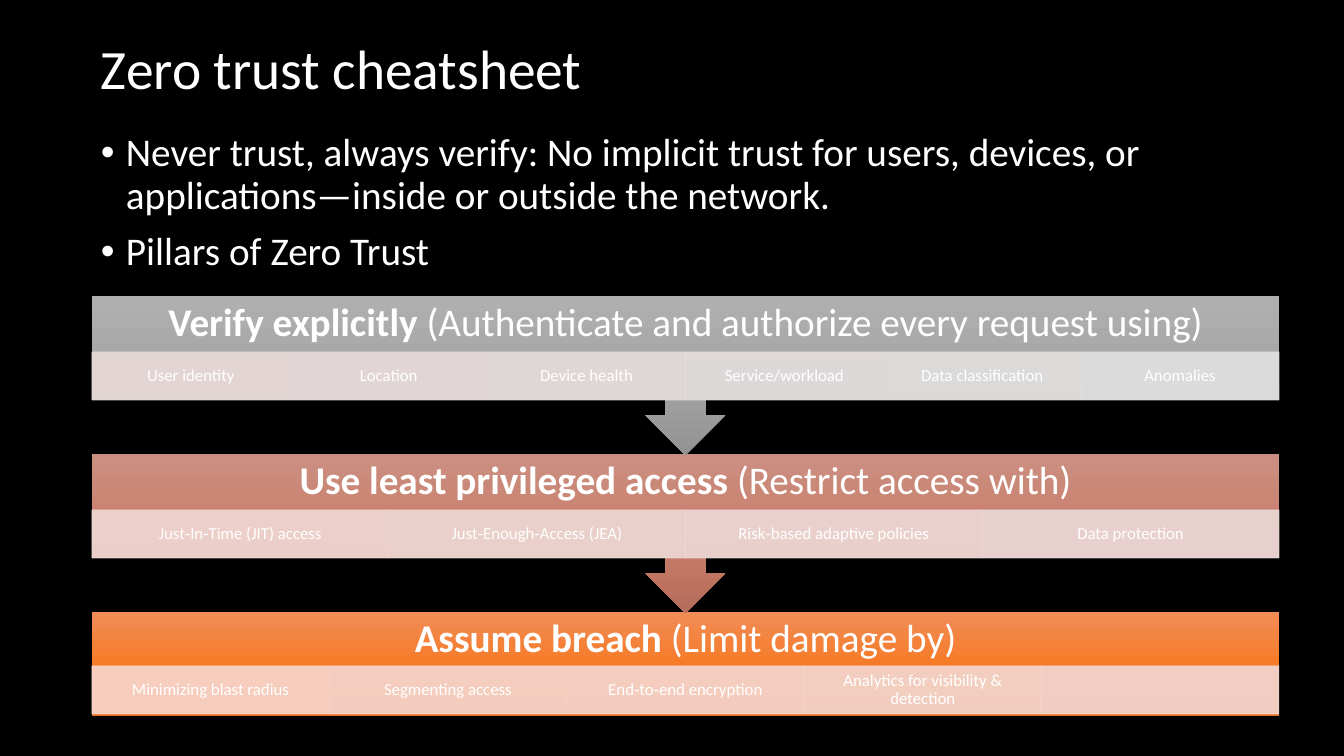
import pptx
import pptx.dml.color
import pptx.enum.shapes
import pptx.enum.text
import pptx.oxml
import pptx.oxml.ns
import pptx.util

PX = 9072  # EMU per pixel
ALIGN = pptx.enum.text.PP_ALIGN
SHAPE = pptx.enum.shapes.MSO_SHAPE


def paint(target, *colours, alpha=100):
    """Fill a shape, line or font: one colour is solid, several run top to bottom."""
    if len(colours) == 1:
        target.fill.solid()
        target.fill.fore_color.rgb = pptx.dml.color.RGBColor.from_string(colours[0])
        if alpha < 100:
            colour = target.fill._xPr.find(".//" + pptx.oxml.ns.qn("a:srgbClr"))
            tag = pptx.oxml.ns.qn("a:alpha")
            colour.append(colour.makeelement(tag, {"val": str(alpha * 1000)}))
        return
    stops = "".join(
        f'<a:gs pos="{100000 * i // (len(colours) - 1)}"><a:srgbClr val="{c}"/></a:gs>'
        for i, c in enumerate(colours))
    gradient = pptx.oxml.parse_xml(
        f'<a:gradFill {pptx.oxml.ns.nsdecls("a")} rotWithShape="1"><a:gsLst>{stops}</a:gsLst>'
        '<a:lin ang="5400000" scaled="0"/></a:gradFill>')
    target.fill.background()
    old = target._element.spPr.find(pptx.oxml.ns.qn("a:noFill"))
    target._element.spPr.replace(old, gradient)


def write(box, paragraphs, size=28, align=ALIGN.LEFT, middle=True, inset=(9, 5), bullet=False):
    """Set paragraphs, each a list of (text, bold) spans."""
    frame = box.text_frame
    frame.word_wrap = True
    frame.auto_size = pptx.enum.text.MSO_AUTO_SIZE.NONE
    anchor = pptx.enum.text.MSO_ANCHOR
    frame.vertical_anchor = anchor.MIDDLE if middle else anchor.TOP
    frame.margin_left = frame.margin_right = inset[0] * PX
    frame.margin_top = frame.margin_bottom = inset[1] * PX
    for number, spans in enumerate(paragraphs):
        para = frame.add_paragraph() if number else frame.paragraphs[0]
        para.alignment = align
        para.line_spacing = 0.9
        para.space_before = pptx.util.Pt(10 if number else 0)
        if bullet:
            properties = para._p.get_or_add_pPr()
            properties.set("marL", str(25 * PX))
            properties.set("indent", str(-25 * PX))
            namespace = pptx.oxml.ns.nsdecls("a")
            properties.append(pptx.oxml.parse_xml(
                f'<a:buFont {namespace} typeface="Arial"/>'))
            properties.append(pptx.oxml.parse_xml(f'<a:buChar {namespace} char="•"/>'))
        for text, bold in spans:
            span = para.add_run()
            span.text = text
            span.font.name = "Calibri"
            span.font.size = pptx.util.Pt(size)
            span.font.bold = bold
            paint(span.font, "FFFFFF")


deck = pptx.Presentation()
deck.slide_width, deck.slide_height = 1344 * PX, 756 * PX
page = deck.slides.add_slide(deck.slide_layouts[5])
paint(page.background, "000000")

title = page.shapes.title
title.left, title.top, title.width, title.height = 92 * PX, 40 * PX, 1159 * PX, 64 * PX
write(title, [[("Zero trust cheatsheet", False)]], size=39.6)

intro = page.shapes.add_textbox(92 * PX, 128 * PX, 1159 * PX, 162 * PX)
write(intro, [
    [("Never trust, always verify: No implicit trust for users, devices, or "
      "applications—inside or outside the network.", False)],
    [("Pillars of Zero Trust", False)],
], middle=False, bullet=True)

# Heading, detail, gradient, callout shape, height, cell offset, cells
pillars = [
    ("Verify explicitly ", "(Authenticate and authorize every request using)",
     ("AFAFAF", "A5A5A5", "939393"), SHAPE.DOWN_ARROW_CALLOUT, 159, 56,
     [("User identity", "E9DBDA"), ("Location", "E8DCDB"), ("Device health", "E6DDDC"),
      ("Service/workload", "E4DEDE"), ("Data classification", "E3DFDF"),
      ("Anomalies", "E1E1E1")]),
    ("Use least privileged access ", "(Restrict access with)",
     ("CB8F81", "C97E6B", "B76D5B"), SHAPE.DOWN_ARROW_CALLOUT, 159, 56,
     [("Just‑In‑Time (JIT) access", "F0D8D4"), ("Just‑Enough‑Access (JEA)", "EED9D5"),
      ("Risk‑based adaptive policies", "EDD9D7"), ("Data protection", "EBDAD8")]),
    ("Assume breach ", "(Limit damage by)",
     ("F18C57", "F67B28", "E56C19"), SHAPE.RECTANGLE, 104, 54,
     [("Minimizing blast radius", "F8D7CE"), ("Segmenting access", "F6D7CF"),
      ("End‑to‑end encryption", "F5D7D0"),
      ("Analytics for visibility & detection", "F3D8D1"), ("", "F2D8D3")]),
]
left, width = 92 * PX, 1187 * PX
# The last pillar lies at the back, so each arrow tip covers the pillar below
for row, pillar in reversed(list(enumerate(pillars))):
    heading, detail, gradient, outline, height, offset, cells = pillar
    top = (296 + 158 * row) * PX
    band = page.shapes.add_shape(outline, left, top, width, height * PX)
    band.shadow.inherit = False
    band.line.fill.background()
    paint(band, *gradient)
    header = page.shapes.add_textbox(left, top, width, 55 * PX)
    write(header, [[(heading, True), (detail, False)]], align=ALIGN.CENTER, inset=(22, 0))

    cell_width = width // len(cells)
    for column, (label, colour) in enumerate(cells):
        cell = page.shapes.add_shape(SHAPE.RECTANGLE, left + column * cell_width,
                                     top + offset * PX, cell_width, 48 * PX)
        cell.shadow.inherit = False
        cell.line.width = pptx.util.Pt(0.5)
        paint(cell, colour, alpha=90)
        paint(cell.line, colour, alpha=90)
        if label:
            write(cell, [[(label, False)]], size=12, align=ALIGN.CENTER, inset=(9, 2))

deck.save("out.pptx")
